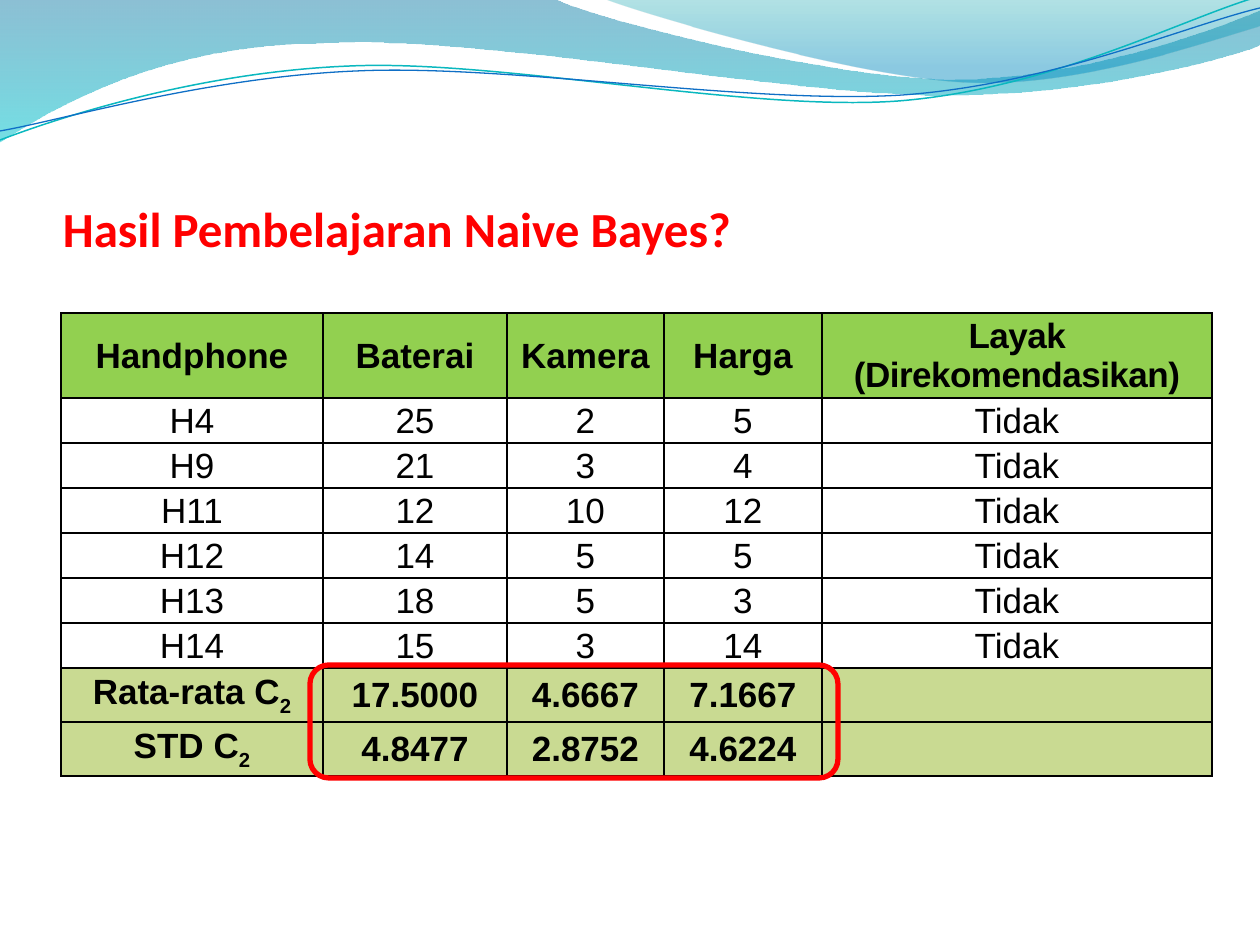
from lxml.etree import SubElement
from pptx import Presentation
from pptx.dml.color import RGBColor
from pptx.enum.shapes import MSO_SHAPE as Shape
from pptx.enum.text import MSO_ANCHOR as Anchor, PP_ALIGN as Align
from pptx.oxml.ns import qn
from pptx.util import Pt

PX = 914400 / 126
BLACK, RED = "000000", "FF0000"
HEADER_GREEN, SUMMARY_GREEN = "92D050", "C9DA92"

BROAD_WAVE = [
    (0, -1), (554, -1),
    (600, 21, 837, 79, 955, 79), (1075, 79, 1207, 33, 1260, 11),
    (1261, 45),
    (1239, 55, 1096, 96, 940, 95), (784, 95, 481, 35, 324, 43),
    (163, 44, 58, 105, -1, 142),
]
CORNER_WAVE = [
    (604, -1),
    (641, 14, 859, 78, 969, 82), (1079, 87, 1211, 40, 1260, 26),
    (1260, 0),
]
TEAL_STRAND = [
    (0, 140),
    (60, 117, 199, 72, 349, 66), (498, 59, 747, 112, 898, 101),
    (1050, 89, 1182, 19, 1257, -3),
]
BLUE_STRAND = [
    (0, 131),
    (59, 121, 207, 77, 357, 71), (508, 64, 752, 105, 903, 95),
    (1053, 84, 1185, 26, 1260, 8),
]

COLUMNS = [262, 184, 157, 158, 390]
HEADINGS = ["Handphone", "Baterai", "Kamera", "Harga", "Layak (Direkomendasikan)"]
PHONES = [
    ("H4", "25", "2", "5"),
    ("H9", "21", "3", "4"),
    ("H11", "12", "10", "12"),
    ("H12", "14", "5", "5"),
    ("H13", "18", "5", "3"),
    ("H14", "15", "3", "14"),
]
SUMMARIES = [
    ("Rata-rata C", "17.5000", "4.6667", "7.1667", ""),
    ("STD C", "4.8477", "2.8752", "4.6224", ""),
]


def px(length):
    return round(length * PX)


def color(hex_value):
    return RGBColor.from_string(hex_value)


def add_run(paragraph, text, size, font_name, hex_value, bold=False):
    run = paragraph.add_run()
    run.text = text
    run.font.size = Pt(size)
    run.font.name = font_name
    run.font.bold = bold
    run.font.color.rgb = color(hex_value)
    return run


def add_outline(slide, left, top, segments, close):
    ends = [(px(left + segment[-2]), px(top + segment[-1])) for segment in segments]
    builder = slide.shapes.build_freeform(*ends[0])
    builder.add_line_segments(ends[1:], close=close)
    outline = builder.convert_to_shape()
    outline.shadow.inherit = False
    straights = list(outline._element.iter(qn("a:lnTo")))
    for straight, segment in zip(straights, segments[1:]):
        if len(segment) == 6:
            straight.tag = qn("a:cubicBezTo")
            end = straight[0]
            for x, y in (segment[:2], segment[2:4]):
                control = SubElement(straight, qn("a:pt"))
                control.set("x", str(px(left + x) - outline.left))
                control.set("y", str(px(top + y) - outline.top))
            straight.append(end)
    return outline


def add_wave(slide, left, top, segments, stops):
    wave = add_outline(slide, left, top, segments, True)
    wave.line.fill.background()
    wave.fill.gradient()
    wave.fill.gradient_angle = 270
    for stop, (position, hex_value, opacity) in zip(wave.fill.gradient_stops, stops):
        stop.position = position
        stop.color.rgb = color(hex_value)
    tints = wave.fill._xPr.iter(qn("a:srgbClr"))
    for tint, (position, hex_value, opacity) in zip(tints, stops):
        SubElement(tint, qn("a:alpha")).set("val", str(opacity * 1000))


def add_strand(slide, left, top, segments, hex_value, width):
    strand = add_outline(slide, left, top, segments, False)
    strand.fill.background()
    strand.line.color.rgb = color(hex_value)
    strand.line.width = Pt(width)


def add_banner(slide, left, top):
    add_wave(slide, left, top, BROAD_WAVE, [(0, "0074A1", 45), (1, "00C6CF", 55)])
    add_wave(slide, left, top, CORNER_WAVE, [(0, "00A1A9", 30), (0.8, "008BBF", 45)])
    add_strand(slide, left, top, TEAL_STRAND, "0AB8BF", 0.85)
    add_strand(slide, left, top, BLUE_STRAND, "0F6FC6", 0.75)


def add_title(slide, left, top, width, height):
    title = slide.shapes.add_textbox(px(left), px(top), px(width), px(height)).text_frame
    title.word_wrap = True
    title.vertical_anchor = Anchor.MIDDLE
    title.margin_left = title.margin_right = px(13)
    title.margin_top = title.margin_bottom = px(13)
    add_run(title.paragraphs[0], "Hasil Pembelajaran Naive Bayes?", 28, "Calibri", RED, True)


def add_borders(cell):
    properties = cell._tc.get_or_add_tcPr()
    for side in ("lnL", "lnR", "lnT", "lnB"):
        border = SubElement(properties, qn(f"a:{side}"), w=str(Pt(1)))
        SubElement(SubElement(border, qn("a:solidFill")), qn("a:srgbClr"), val=BLACK)


def fill_cell(cell, text, fill, bold):
    add_borders(cell)
    if fill:
        cell.fill.solid()
        cell.fill.fore_color.rgb = color(fill)
    else:
        cell.fill.background()
    cell.vertical_anchor = Anchor.MIDDLE
    cell.margin_left = cell.margin_right = cell.margin_top = px(1)
    cell.margin_bottom = 0
    paragraph = cell.text_frame.paragraphs[0]
    paragraph.alignment = Align.CENTER
    if text:
        return add_run(paragraph, text, 20, "Arial", BLACK, bold)


def add_results(slide, left, top):
    rows = [(45, HEADER_GREEN, HEADINGS)]
    rows += [(45, None, (*phone, "Tidak")) for phone in PHONES]
    rows += [(54, SUMMARY_GREEN, summary) for summary in SUMMARIES]
    height = sum(row[0] for row in rows)
    results = slide.shapes.add_table(
        len(rows), len(COLUMNS), px(left), px(top), px(sum(COLUMNS)), px(height)).table
    results.first_row = results.horz_banding = False
    for column, width in zip(results.columns, COLUMNS):
        column.width = px(width)
    for index, (row_height, fill, texts) in enumerate(rows):
        results.rows[index].height = px(row_height)
        for position, text in enumerate(texts):
            cell = results.cell(index, position)
            run = fill_cell(cell, text, fill, fill is not None)
            if text == HEADINGS[-1]:
                run._r.get_or_add_rPr().set("spc", "-30")
            if fill == SUMMARY_GREEN and position == 0:
                paragraph = cell.text_frame.paragraphs[0]
                subscript = add_run(paragraph, "2", 20, "Arial", BLACK, True)
                subscript._r.get_or_add_rPr().set("baseline", "-25000")


def add_highlight(slide, left, top, width, height):
    highlight = slide.shapes.add_shape(
        Shape.ROUNDED_RECTANGLE, px(left), px(top), px(width), px(height))
    highlight.shadow.inherit = False
    highlight.fill.background()
    highlight.line.color.rgb = color(RED)
    highlight.line.width = Pt(3)


def main():
    deck = Presentation()
    deck.slide_width, deck.slide_height = px(1260), px(945)
    slide = deck.slides.add_slide(deck.slide_layouts[6])
    add_banner(slide, 0, 0)
    add_title(slide, 50, 184, 1148, 88)
    add_results(slide, 61, 313)
    add_highlight(slide, 310, 665, 528, 113)
    deck.save("out.pptx")


if __name__ == "__main__":
    main()
